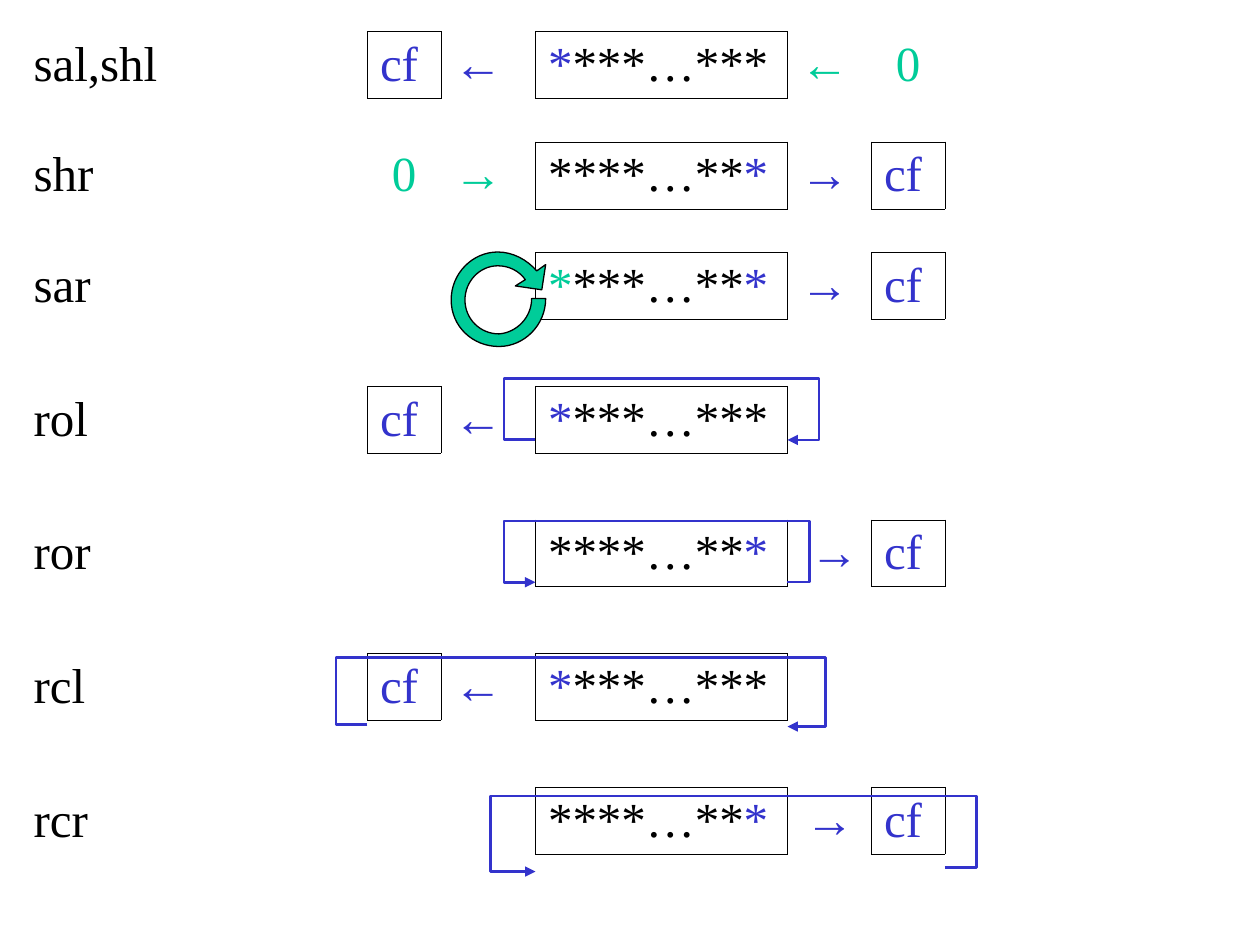
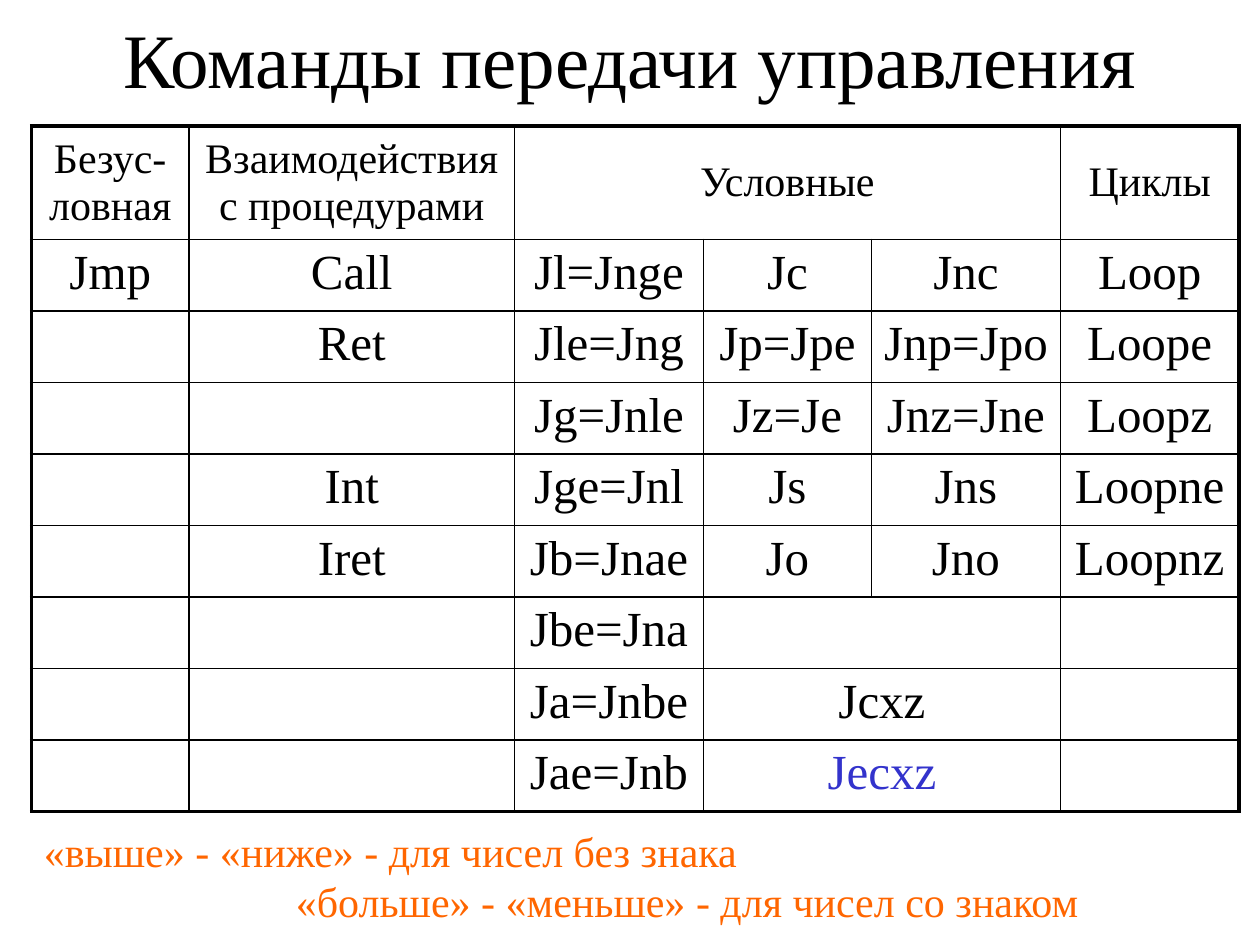
from lxml.etree import SubElement
from pptx import Presentation
from pptx.dml.color import RGBColor
from pptx.enum.shapes import MSO_CONNECTOR
from pptx.enum.text import MSO_ANCHOR, PP_ALIGN
from pptx.oxml.ns import qn
from pptx.util import Pt

COLORS = {"black": "000000", "blue": "3333CC", "green": "00CC99", "orange": "FF6600"}
FONT = "Times New Roman"
NO_GRID_STYLE = "{2D5ABB26-0587-4C30-8999-92F81FD0307C}"
LEFT, CENTER, RIGHT = PP_ALIGN.LEFT, PP_ALIGN.CENTER, PP_ALIGN.RIGHT
LINE_ROW = 38.2

# Shift and rotate instructions
CF = [("cf", "blue")]
ZERO = [("0", "green")]
HIGH_BIT = [("*", "blue"), ("***…***", "black")]
LOW_BIT = [("****…**", "black"), ("*", "blue")]
SIGN_BIT = [("*", "green"), ("***…**", "black"), ("*", "blue")]
OUT_LEFT, OUT_RIGHT = [("←", "blue")], [("→", "blue")]
IN_LEFT, IN_RIGHT = [("←", "green")], [("→", "green")]

# name, left cell, left arrow, register, right arrow, right cell, gap below
SHIFTS = [
    ("sal,shl", CF, OUT_LEFT, HIGH_BIT, IN_LEFT, ZERO, 24.9),
    ("shr", ZERO, IN_RIGHT, LOW_BIT, OUT_RIGHT, CF, 24.9),
    ("sar", None, None, SIGN_BIT, OUT_RIGHT, CF, LINE_ROW),
    ("rol", CF, OUT_LEFT, HIGH_BIT, None, None, LINE_ROW),
    ("ror", None, None, LOW_BIT, OUT_RIGHT, CF, LINE_ROW),
    ("rcl", CF, OUT_LEFT, HIGH_BIT, None, None, LINE_ROW),
    ("rcr", None, None, LOW_BIT, OUT_RIGHT, CF, None),
]
ARROW_ALIGN = {"ror": RIGHT, "rcr": CENTER}
SHIFT_WIDTHS = [86.4, 111.6, 42, 54, 144, 48, 42, 162]
SHIFT_LEFT, SHIFT_TOP = 12, 18

# start x, start y, end x, end y, x beside start, y of the top run, x beside end
LOOPS = [
    (306, 251.2, 450, 251.4, 288, 216, 468),
    (450, 332.5, 306, 332.7, 462.6, 297.5, 288),
    (210, 414, 450, 415.2, 192, 375.5, 471.8),
    (540, 495.6, 306, 498, 558, 455, 280.2),
]

# Ring arrow: three points make a curve, one point makes a straight edge
RING_START = (300.2, 159.8)
RING_SEGMENTS = [
    [(296.6, 154.8), (290.9, 151.9), (284.4, 151.9)],
    [(274.3, 151.9), (265.7, 160.6), (265.7, 171.4)],
    [(265.7, 182.2), (274.3, 190.8), (285.1, 190.8)],
    [(295.2, 190.1), (303.8, 181.4), (303.8, 170.6)],
    [(311.8, 170.6)],
    [(311.8, 185.8), (299.5, 198), (285.1, 198)],
    [(270, 198), (257.8, 186.5), (257.8, 171.4)],
    [(257.8, 156.2), (270, 144), (284.4, 144)],
    [(293, 144), (301, 148.3), (306.7, 154.8)],
    [(311.8, 151.2)],
    [(309.6, 165.6)],
    [(294.5, 163.4)],
]

# Control transfer instructions
TITLE = "Команды передачи управления"
HEADERS = ["Безус-ловная", "Взаимодействия с процедурами", "Условные", "", "", "Циклы"]
COMMANDS = [
    ["Jmp", "Call", "Jl=Jnge", "Jc", "Jnc", "Loop"],
    ["", "Ret", "Jle=Jng", "Jp=Jpe", "Jnp=Jpo", "Loope"],
    ["", "", "Jg=Jnle", "Jz=Je", "Jnz=Jne", "Loopz"],
    ["", "Int", "Jge=Jnl", "Js", "Jns", "Loopne"],
    ["", "Iret", "Jb=Jnae", "Jo", "Jno", "Loopnz"],
    ["", "", "Jbe=Jna", "", "", ""],
    ["", "", "Ja=Jnbe", "Jcxz", "", ""],
    ["", "", "Jae=Jnb", "Jecxz", "", ""],
]
MERGES = [((0, 2), (0, 4))] + [((row, 3), (row, 4)) for row in (6, 7, 8)]
COMMAND_WIDTHS = [90, 186, 108, 96, 108, 102]
COMMAND_ROW, COMMAND_HEIGHT = 27.4, 391
NOTE = "«выше» - «ниже» - для чисел без знака\v\t\t«больше» - «меньше» - для чисел со знаком"


def rgb(name):
    return RGBColor.from_string(COLORS[name])


def style(run, size, color):
    for key, value in {"name": FONT, "size": Pt(size)}.items():
        setattr(run.font, key, value)
    run.font.color.rgb = rgb(color)


def write(paragraph, runs, size, align=LEFT):
    paragraph.alignment = align
    for text, color in runs:
        run = paragraph.add_run()
        run.text = text
        style(run, size, color)
    if not runs:
        SubElement(paragraph._p, qn("a:endParaRPr"), sz="1000")


def add_text(slide, box, text, size, color="black", align=LEFT, anchor=MSO_ANCHOR.TOP):
    frame = slide.shapes.add_textbox(*map(Pt, box)).text_frame
    for key, value in {"word_wrap": True, "vertical_anchor": anchor}.items():
        setattr(frame, key, value)
    paragraph = frame.paragraphs[0]
    paragraph.text = text
    paragraph.alignment = align
    paragraph._p.get_or_add_pPr().set("defTabSz", str(Pt(72)))
    for run in paragraph.runs:
        style(run, size, color)


def add_grid(slide, left, top, widths, heights, frame_height):
    """Add an unstyled table with the given column widths and row heights."""
    frame = slide.shapes.add_table(
        len(heights), len(widths), Pt(left), Pt(top), Pt(sum(widths)), Pt(frame_height)
    )
    table = frame.table
    table.first_row = table.horz_banding = False
    table._tbl.tblPr.find(qn("a:tableStyleId")).text = NO_GRID_STYLE
    for column, width in zip(table.columns, widths):
        column.width = Pt(width)
    for row, height in zip(table.rows, heights):
        row.height = Pt(height)
        for cell in row.cells:
            cell.fill.background()
    frame.height = Pt(frame_height)
    return table


def set_borders(cell, borders):
    """Set borders from a dict of side to width; the other sides get no line."""
    properties = cell._tc.get_or_add_tcPr()
    for position, side in enumerate("LRTB"):
        line = SubElement(properties, qn(f"a:ln{side}"))
        if side in borders:
            line.set("w", str(Pt(borders[side])))
            fill = SubElement(line, qn("a:solidFill"))
            SubElement(fill, qn("a:srgbClr"), val=COLORS["black"])
        else:
            SubElement(line, qn("a:noFill"))
        properties.insert(position, line)


def add_shift_table(slide):
    heights, boxes = [], set()
    for *_, gap in SHIFTS:
        heights += [LINE_ROW] + ([gap] if gap else [])
    table = add_grid(slide, SHIFT_LEFT, SHIFT_TOP, SHIFT_WIDTHS, heights, sum(heights))
    for index, (name, *parts, _) in enumerate(SHIFTS):
        row = 2 * index
        write(table.cell(row, 0).text_frame.paragraphs[0], [(name, "black")], 28)
        for column, runs in enumerate(parts, start=2):
            if not runs:
                continue
            align = CENTER if runs is ZERO else LEFT
            if column == 5:
                align = ARROW_ALIGN.get(name, LEFT)
            write(table.cell(row, column).text_frame.paragraphs[0], runs, 28, align)
            if runs is CF or column == 4:
                boxes.add((row, column))
    neighbours = {"L": (0, -1), "R": (0, 1), "T": (-1, 0), "B": (1, 0)}
    for row in range(len(heights)):
        for column in range(len(SHIFT_WIDTHS)):
            cell = table.cell(row, column)
            borders = {
                side: 0.25
                for side, (down, across) in neighbours.items()
                if (row, column) in boxes or (row + down, column + across) in boxes
            }
            set_borders(cell, borders)
            if not cell.text_frame.text:
                write(cell.text_frame.paragraphs[0], [], 10)


def add_sign_arrow(slide):
    """Draw the ring arrow that feeds the sign bit back."""
    points = [point for segment in RING_SEGMENTS for point in segment]
    builder = slide.shapes.build_freeform(*map(Pt, RING_START))
    builder.add_line_segments([tuple(map(Pt, point)) for point in points], close=True)
    shape = builder.convert_to_shape()
    edges = iter(list(shape._element.iter(qn("a:lnTo"))))
    for segment in RING_SEGMENTS:
        first, *others = [next(edges) for _ in segment]
        if others:
            first.tag = qn("a:cubicBezTo")
            for edge in others:
                first.append(edge[0])
                edge.getparent().remove(edge)
    shape.shadow.inherit = False
    shape.fill.solid()
    shape.fill.fore_color.rgb = rgb("green")
    shape.line.color.rgb = rgb("black")
    shape.line.width = Pt(0.75)


def add_loop(slide, x1, y1, x2, y2, start_x, top, end_x):
    """Add a five-part elbow arrow that runs over the register."""
    connector = slide.shapes.add_connector(
        MSO_CONNECTOR.ELBOW, *map(Pt, (x1, y1, x2, y2))
    )
    connector.line.color.rgb = rgb("blue")
    connector.line.width = Pt(1.5)
    SubElement(connector.line._get_or_add_ln(), qn("a:tailEnd"), type="triangle")
    properties = connector._element.spPr
    SubElement(properties, qn("a:effectLst"))
    geometry = properties.find(qn("a:prstGeom"))
    geometry.set("prst", "bentConnector5")
    guides = geometry.find(qn("a:avLst"))
    bends = [(start_x - x1) / (x2 - x1), (top - y1) / (y2 - y1), (end_x - x1) / (x2 - x1)]
    for number, bend in enumerate(bends, start=1):
        SubElement(guides, qn("a:gd"), name=f"adj{number}", fmla=f"val {round(bend * 100000)}")


def add_command_table(slide):
    rows = [HEADERS] + COMMANDS
    heights = [COMMAND_ROW] * len(rows)
    table = add_grid(slide, 18, 72, COMMAND_WIDTHS, heights, COMMAND_HEIGHT)
    last_row, last_column = len(rows) - 1, len(HEADERS) - 1
    for r, texts in enumerate(rows):
        for c, text in enumerate(texts):
            cell = table.cell(r, c)
            outside = {"L": c == 0, "R": c == last_column, "T": r == 0, "B": r == last_row}
            set_borders(cell, {side: 2.25 if edge else 1 for side, edge in outside.items()})
            color = "blue" if text == "Jecxz" else "black"
            runs = [(text, color)] if text else []
            write(cell.text_frame.paragraphs[0], runs, 28 if r else 24, CENTER)
            if r == 0:
                cell.vertical_anchor = MSO_ANCHOR.MIDDLE
    for first, last in MERGES:
        table.cell(*first).merge(table.cell(*last))


def main():
    presentation = Presentation()
    presentation.slide_width, presentation.slide_height = Pt(720), Pt(540)
    blank = presentation.slide_layouts[6]

    shifts = presentation.slides.add_slide(blank)
    add_shift_table(shifts)
    add_sign_arrow(shifts)
    for loop in LOOPS:
        add_loop(shifts, *loop)

    transfers = presentation.slides.add_slide(blank)
    add_text(transfers, (54, 12, 612, 42), TITLE, 44, align=CENTER, anchor=MSO_ANCHOR.MIDDLE)
    add_command_table(transfers)
    add_text(transfers, (18, 468, 684, 65), NOTE, 24, "orange")
    presentation.save("out.pptx")


if __name__ == "__main__":
    main()
